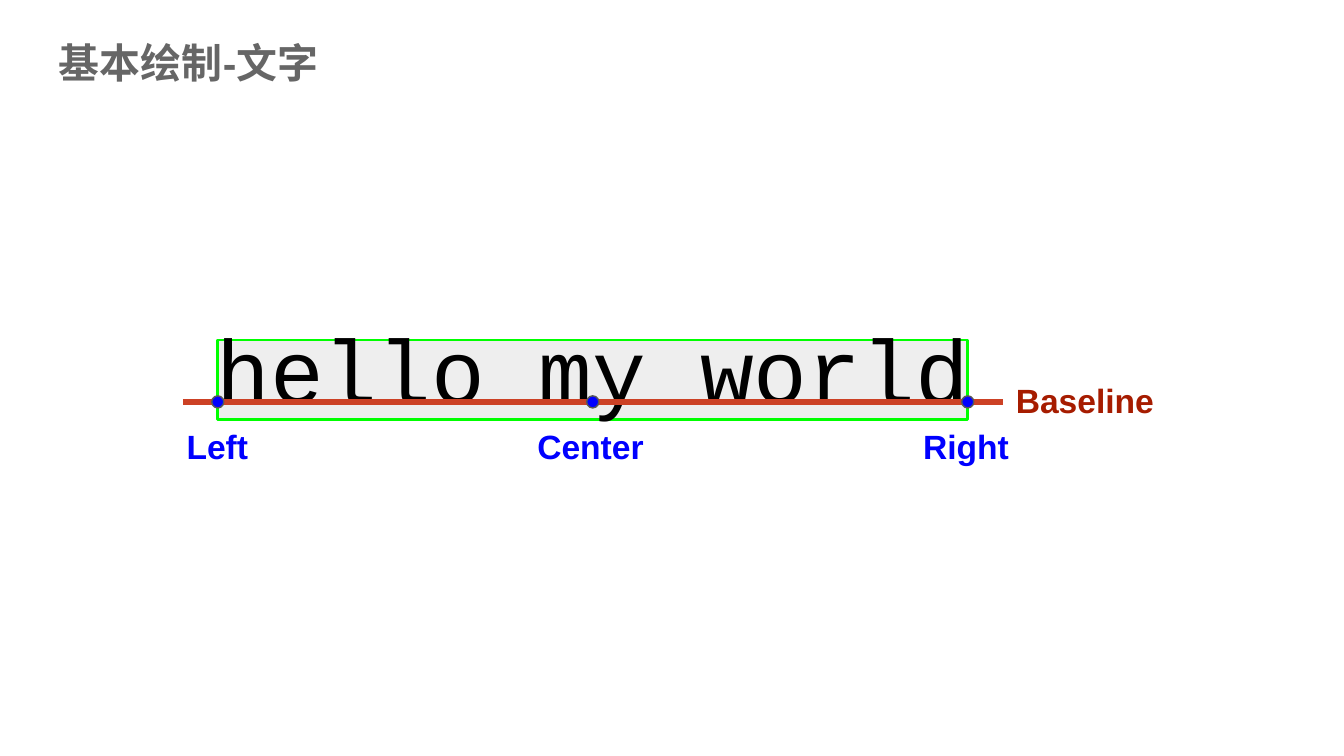
from lxml import etree
from pptx import Presentation
from pptx.dml.color import RGBColor
from pptx.enum.shapes import MSO_CONNECTOR, MSO_SHAPE
from pptx.enum.text import MSO_ANCHOR, MSO_AUTO_SIZE, PP_ALIGN
from pptx.oxml.ns import qn
from pptx.util import Inches, Pt

RECTANGLE, OVAL = MSO_SHAPE.RECTANGLE, MSO_SHAPE.OVAL
STRAIGHT = MSO_CONNECTOR.STRAIGHT
TOP, MIDDLE = MSO_ANCHOR.TOP, MSO_ANCHOR.MIDDLE
LEFT, CENTER = PP_ALIGN.LEFT, PP_ALIGN.CENTER
NO_AUTOSIZE = MSO_AUTO_SIZE.NONE

GRAY = RGBColor(0x66, 0x66, 0x66)
PALE = RGBColor(0xEE, 0xEE, 0xEE)
GREEN = RGBColor(0x00, 0xFF, 0x00)
BLACK = RGBColor(0x00, 0x00, 0x00)
RED = RGBColor(0xCC, 0x41, 0x25)
DARK_RED = RGBColor(0xA6, 0x1C, 0x00)
BLUE = RGBColor(0x00, 0x00, 0xFF)
DOT_EDGE = RGBColor(0x58, 0x58, 0x58)


def add_text(slide, box, text, size, color, face="Arial", bold=True,
             align=LEFT, anchor=TOP, tabs=()):
    """Place one line of styled text, with optional tab stops in inches."""
    frame = slide.shapes.add_textbox(*map(Inches, box)).text_frame
    frame.word_wrap = True
    frame.auto_size = NO_AUTOSIZE
    frame.vertical_anchor = anchor
    frame.margin_left = frame.margin_right = Inches(0.1)
    frame.margin_top = frame.margin_bottom = Inches(0.1)
    line = frame.paragraphs[0]
    line.text = text
    line.alignment = align
    if tabs:
        stops = etree.SubElement(line._p.get_or_add_pPr(), qn("a:tabLst"))
        for stop in tabs:
            etree.SubElement(stops, qn("a:tab"), pos=str(Inches(stop)), algn="l")
    font = line.font
    font.name, font.size, font.bold = face, Pt(size), bold
    font.color.rgb = color


def add_outlined(slide, preset, box, fill, edge, weight):
    """Place a filled preset shape with an outline."""
    shape = slide.shapes.add_shape(preset, *map(Inches, box))
    shape.shadow.inherit = False
    shape.fill.solid()
    shape.fill.fore_color.rgb = fill
    shape.line.color.rgb = edge
    shape.line.width = Pt(weight)


def add_baseline(slide, left, right, y):
    """Draw the baseline and its name at the right end."""
    baseline = slide.shapes.add_connector(
        STRAIGHT, Inches(left), Inches(y), Inches(right), Inches(y))
    baseline.line.color.rgb = RED
    baseline.line.width = Pt(3)
    etree.SubElement(baseline._element.spPr, qn("a:effectLst"))
    add_text(slide, (right, y - 0.26, 1.57, 0.48), "Baseline", 18, DARK_RED)


def add_text_metrics(slide, left, top, width, height):
    """Draw the sample text in its bounds with baseline and alignment points."""
    overhang = 0.26
    baseline_y = top + 0.78 * height
    dot = 0.09
    add_outlined(slide, RECTANGLE, (left, top, width, height), PALE, GREEN, 1.5)
    add_text(slide, (left - overhang, top - 0.27, width + 2 * overhang, 0.95),
             "hello my world", 48, BLACK, "Courier New", False, CENTER, MIDDLE)
    add_baseline(slide, left - overhang, left + width + overhang, baseline_y)
    for share in (0, 0.5, 1):
        add_outlined(slide, OVAL,
                     (left + share * width - dot / 2, baseline_y - dot / 2, dot, dot),
                     BLUE, DOT_EDGE, 0.75)
    add_text(slide, (left - 0.33, top + 0.54, 6.43, 0.48),
             "Left\tCenter\tRight", 18, BLUE, tabs=(2.61, 5.48))


def main():
    """Build and save the slide."""
    deck = Presentation()
    deck.slide_width = Inches(10)
    deck.slide_height = deck.slide_width * 9 // 16
    slide = deck.slides.add_slide(deck.slide_layouts[6])
    add_text(slide, (0.34, 0.18, 9.32, 0.63), "基本绘制-文字", 21.9, GRAY)
    add_text_metrics(slide, 1.62, 2.53, 5.58, 0.59)
    deck.save("out.pptx")


if __name__ == "__main__":
    main()
